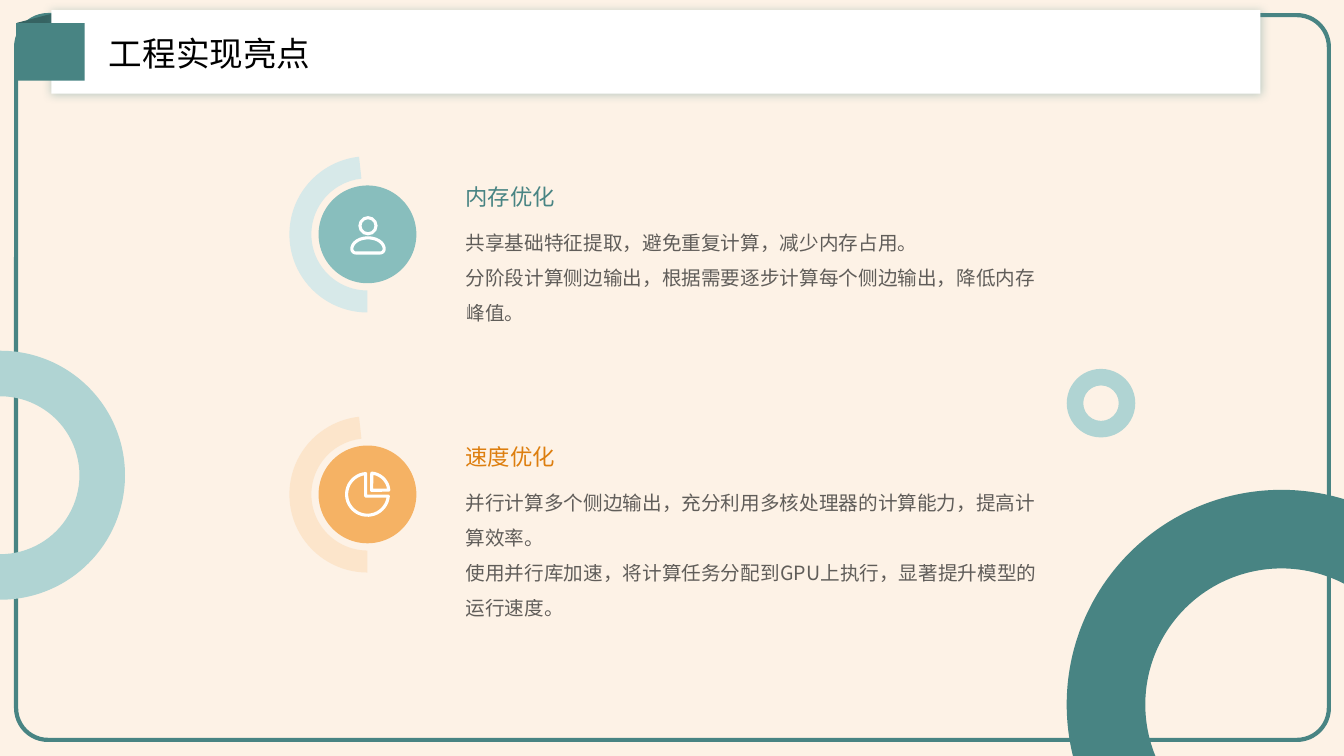
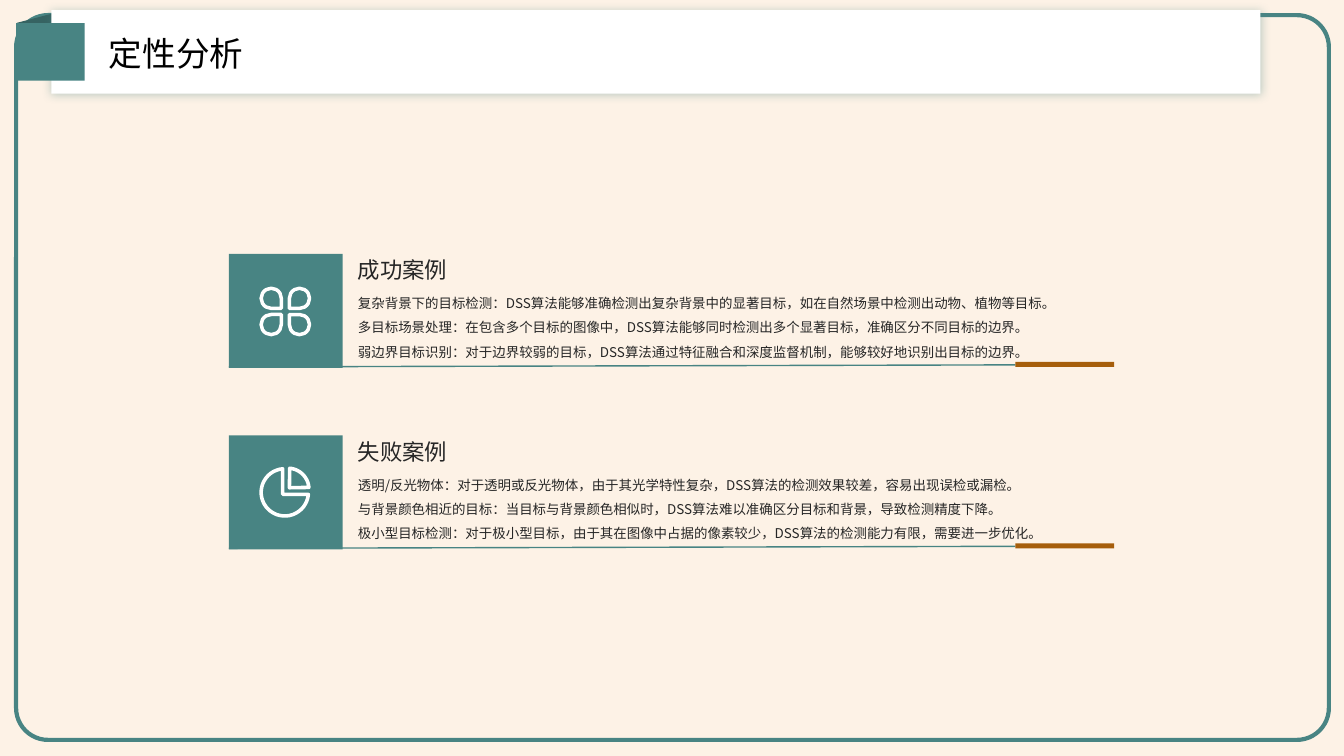
from math import cos, radians, sin

from lxml import etree
from pptx import Presentation
from pptx import util as u
from pptx.dml.color import RGBColor
from pptx.enum import shapes, text
from pptx.oxml import ns

FONT = "Noto Sans CJK SC"
TEAL, DARK_TEAL, PALE_TEAL, MID_TEAL, MIST = "488483", "366362", "B0D4D3", "88BEBD", "D7E9E9"
CREAM, AMBER, ORANGE, BROWN = "FCE5CB", "F5B264", "DD7E0E", "A65E0B"
INK, BLACK, WHITE = "262626", "000000", "FFFFFF"
KIND = shapes.MSO_SHAPE
ANCHOR = text.MSO_ANCHOR


# ---- shared helpers ----
def inches(*values):
    return [u.Inches(value) for value in values]


def add_xml(parent, tag, **attributes):
    return etree.SubElement(parent, ns.qn(tag), **attributes)


def paint(fill, color, alpha=None):
    fill.solid()
    fill.fore_color.rgb = RGBColor.from_string(color)
    if alpha:
        set_alpha(fill._xPr, alpha)


def set_alpha(properties, percent):
    color = properties.find(".//" + ns.qn("a:srgbClr"))
    add_xml(color, "a:alpha", val=str(percent * 1000))


def style(shape, fill=None, line=None, width=1, alpha=None):
    shape.shadow.inherit = False
    if fill:
        paint(shape.fill, fill, alpha)
    else:
        shape.fill.background()
    if line:
        paint(shape.line.fill, line)
        shape.line.width = u.Pt(width)
    else:
        shape.line.fill.background()
    return shape


def add_shape(slide, kind, box, fill=None, adjust=(), rotation=0, **look):
    shape = slide.shapes.add_shape(kind, *inches(*box))
    for index, value in enumerate(adjust):
        shape.adjustments[index] = value
    shape.rotation = rotation
    return style(shape, fill, **look)


def add_text(slide, box, lines, size, color, spacing, anchor=ANCHOR.TOP,
             inset=True, alpha=None):
    frame = slide.shapes.add_textbox(*inches(*box)).text_frame
    frame.word_wrap = True
    frame.vertical_anchor = anchor
    if not inset:
        frame.margin_left = frame.margin_right = 0
        frame.margin_top = frame.margin_bottom = 0
    paragraph = frame.paragraphs[0]
    paragraph.text = lines
    paragraph.line_spacing = spacing
    font = paragraph.font
    font.size = u.Pt(size)
    font.name = FONT
    paint(font.fill, color, alpha)
    add_xml(font._element, "a:ea", typeface=FONT)


# ---- icons ----
def arc(cx, cy, rx, ry, start, end, steps=32):
    angles = [radians(start + (end - start) * i / steps) for i in range(steps + 1)]
    return [(cx + rx * cos(angle), cy + ry * sin(angle)) for angle in angles]


def outline(slide, left, top, size, points, width):
    points = [inches(left + x * size, top + y * size) for x, y in points]
    builder = slide.shapes.build_freeform(*points[0])
    builder.add_line_segments(points[1:], close=True)
    style(builder.convert_to_shape(), line=WHITE, width=width)


def person_icon(slide, left, top):
    add_shape(slide, KIND.OVAL, (left + 0.1, top + 0.02, 0.16, 0.16),
              line=WHITE, width=2.2)
    body = (arc(0.18, 0.33, 0.16, 0.11, 180, 360)
            + arc(0.3, 0.33, 0.04, 0.04, 0, 90)
            + arc(0.06, 0.33, 0.04, 0.04, 90, 180))
    outline(slide, left, top, 1, body, 2.2)


def pie_icon(slide, left, top, size):
    width = 5 * size
    body = [(0.46, 0.54)] + arc(0.5, 0.5, 0.46, 0.46, 5, 265)
    wedge = [(0.59, 0.41)] + arc(0.56, 0.44, 0.41, 0.41, 275, 355)
    for points in (body, wedge):
        outline(slide, left, top, size, points, width)


def clover_icon(slide, left, top):
    for column, row, rotation in ((0, 0, 90), (1, 0, 180), (0, 1, 0), (1, 1, 270)):
        petal = (left + 0.02 + 0.28 * column, top + 0.02 + 0.26 * row, 0.2, 0.2)
        add_shape(slide, KIND.TEAR, petal, rotation=rotation, line=WHITE, width=2.5)


# ---- parts every slide shares ----
def backdrop(slide):
    add_shape(slide, KIND.RECTANGLE, (0, 0, 13.33, 7.5), CREAM, alpha=48)
    add_shape(slide, KIND.ROUNDED_RECTANGLE, (0.16, 0.15, 13.02, 7.19),
              adjust=[0.044], line=TEAL, width=3)


def header(slide, title):
    add_shape(slide, KIND.RECTANGLE, (0.22, 0.16, 0.47, 0.47), DARK_TEAL, rotation=345.4)
    band = add_shape(slide, KIND.RECTANGLE, (0.51, 0.1, 11.99, 0.83), WHITE)
    effects = band._element.spPr.find(ns.qn("a:effectLst"))
    shadow = add_xml(effects, "a:outerShdw", blurRad=str(u.Pt(7)), dist="0", dir="0",
                     algn="ctr", rotWithShape="0")
    add_xml(shadow, "a:srgbClr", val=TEAL)
    set_alpha(shadow, 36)
    add_text(slide, (1.08, 0.24, 8.51, 0.54), title, 24, BLACK, 1.1,
             ANCHOR.MIDDLE, inset=False)
    add_shape(slide, KIND.RECTANGLE, (0.16, 0.23, 0.68, 0.57), TEAL)


# ---- highlights slide ----
def highlight(slide, left, top, heading, body, heading_color, disc, halo):
    add_shape(slide, KIND.BLOCK_ARC, (left, top, 1.55, 1.55), halo,
              adjust=(108, 212.28, 0.141), rotation=270)
    add_shape(slide, KIND.OVAL, (left + 0.29, top + 0.29, 0.97, 0.97), disc)
    add_text(slide, (left + 1.65, top - 0.24, 5.93, 0.82), heading, 16,
             heading_color, 1.3, ANCHOR.BOTTOM)
    add_text(slide, (left + 1.65, top + 0.57, 5.93, 1.55), body, 14, INK, 1.5, alpha=73)


def rings(slide):
    for left, top, size, thickness, color in (
            (10.58, 4.86, 4.26, 0.183, TEAL),
            (10.58, 3.66, 0.68, 0.241, PALE_TEAL),
            (-1.23, 3.48, 2.47, 0.183, PALE_TEAL)):
        add_shape(slide, KIND.DONUT, (left, top, size, size), color, adjust=[thickness])


def highlights_slide(slide):
    backdrop(slide)
    rings(slide)
    left, top, step = 2.87, 1.55, 2.58
    highlight(slide, left, top, "内存优化",
              "共享基础特征提取，避免重复计算，减少内存占用。\n"
              "分阶段计算侧边输出，根据需要逐步计算每个侧边输出，降低内存峰值。",
              TEAL, MID_TEAL, MIST)
    person_icon(slide, left + 0.6, top + 0.59)
    highlight(slide, left, top + step, "速度优化",
              "并行计算多个侧边输出，充分利用多核处理器的计算能力，提高计算效率。\n"
              "使用并行库加速，将计算任务分配到GPU上执行，显著提升模型的运行速度。",
              ORANGE, AMBER, CREAM)
    pie_icon(slide, left + 0.55, top + step + 0.55, 0.45)
    header(slide, "工程实现亮点")


# ---- analysis slide ----
def case(slide, left, top, heading, body):
    add_shape(slide, KIND.RECTANGLE, (left, top, 1.13, 1.13), TEAL)
    add_text(slide, (left + 1.28, top + 0.33, 7.51, 0.64), body, 9.6, INK, 1.5, inset=False)
    rule = slide.shapes.add_connector(
        shapes.MSO_CONNECTOR.STRAIGHT,
        *inches(left, top + 1.12, left + 7.8, top + 1.1))
    paint(rule.line.fill, TEAL)
    rule.line.width = u.Pt(1)
    add_xml(rule._element.spPr, "a:effectLst")
    add_shape(slide, KIND.RECTANGLE, (left + 7.8, top + 1.07, 0.98, 0.05), BROWN)
    add_text(slide, (left + 1.28, top - 0.02, 7.51, 0.31), heading, 16, INK, 1.3,
             ANCHOR.BOTTOM, inset=False)


def analysis_slide(slide):
    backdrop(slide)
    left, top, step = 2.27, 2.52, 1.8
    case(slide, left, top, "成功案例",
         "复杂背景下的目标检测：DSS算法能够准确检测出复杂背景中的显著目标，如在自然场景中检测出动物、植物等目标。\n"
         "多目标场景处理：在包含多个目标的图像中，DSS算法能够同时检测出多个显著目标，准确区分不同目标的边界。\n"
         "弱边界目标识别：对于边界较弱的目标，DSS算法通过特征融合和深度监督机制，能够较好地识别出目标的边界。")
    clover_icon(slide, left + 0.3, top + 0.32)
    case(slide, left, top + step, "失败案例",
         "透明/反光物体：对于透明或反光物体，由于其光学特性复杂，DSS算法的检测效果较差，容易出现误检或漏检。\n"
         "与背景颜色相近的目标：当目标与背景颜色相似时，DSS算法难以准确区分目标和背景，导致检测精度下降。\n"
         "极小型目标检测：对于极小型目标，由于其在图像中占据的像素较少，DSS算法的检测能力有限，需要进一步优化。")
    pie_icon(slide, left + 0.3, top + step + 0.31, 0.51)
    header(slide, "定性分析")


def main():
    deck = Presentation()
    deck.slide_width, deck.slide_height = inches(13.33, 7.5)
    for build in (highlights_slide, analysis_slide):
        build(deck.slides.add_slide(deck.slide_layouts[6]))
    deck.save("out.pptx")


if __name__ == "__main__":
    main()
